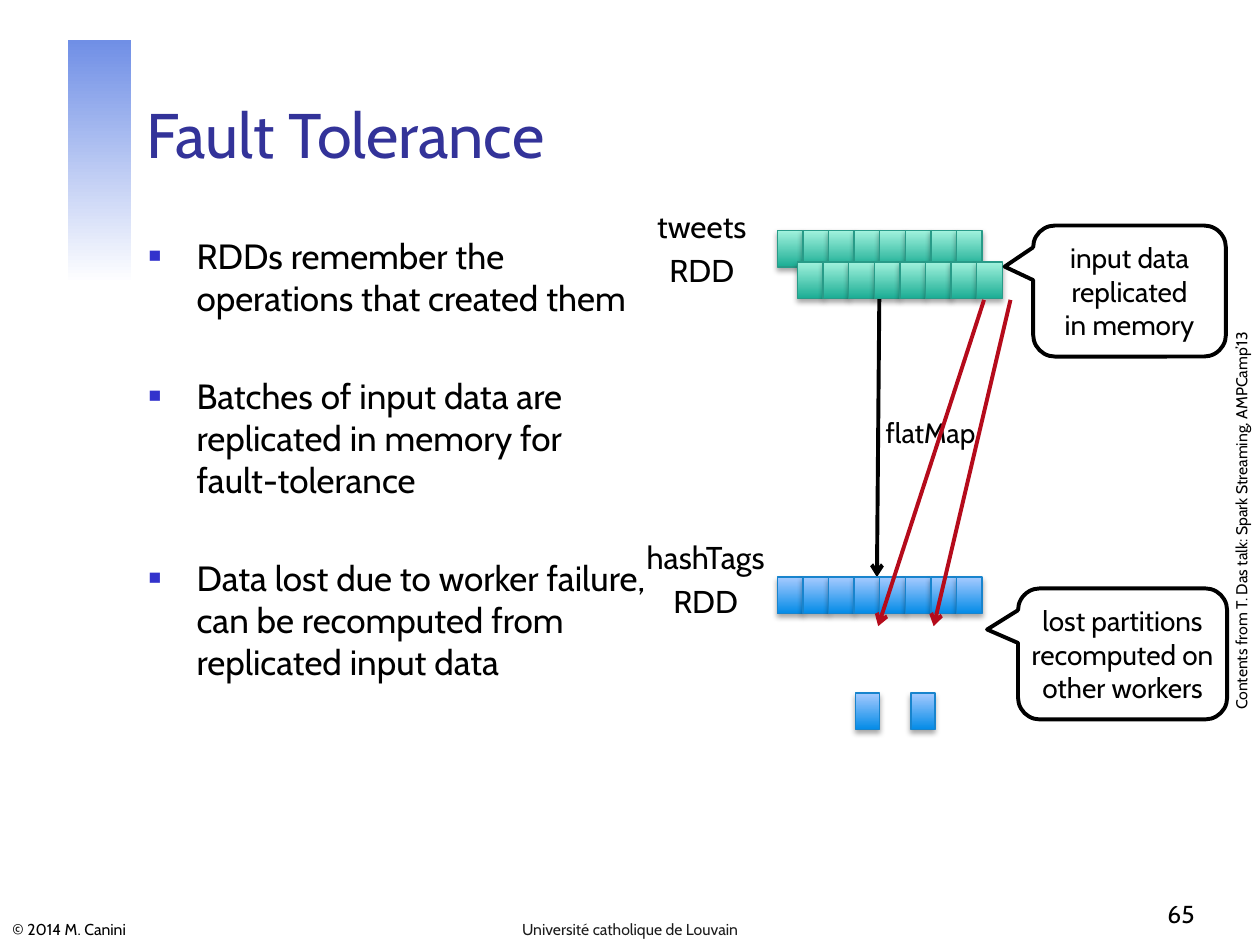
from dataclasses import dataclass

from lxml.etree import SubElement
from pptx import Presentation
from pptx.dml.color import RGBColor
from pptx.enum.shapes import MSO_CONNECTOR as Connector, MSO_SHAPE as Shape
from pptx.enum.text import MSO_ANCHOR as Anchor, MSO_AUTO_SIZE as AutoSize, PP_ALIGN as Align
from pptx.oxml.ns import qn
from pptx.util import Inches, Pt

FONT = "Cabin"
CELL_PITCH = 0.203
CELL_HEIGHT = 0.29


@dataclass(frozen=True)
class Palette:
    bottom: str
    top: str
    line: str


@dataclass(frozen=True)
class PartitionRow:
    left: float
    top: float
    palette: Palette
    count: int = 8
    pitch: float = CELL_PITCH
    width: float = CELL_PITCH


@dataclass(frozen=True)
class Arrow:
    start: tuple[float, float]
    end: tuple[float, float]
    color: str


@dataclass(frozen=True)
class Callout:
    area: tuple[float, float, float, float]
    text: str


@dataclass(frozen=True)
class Label:
    area: tuple[float, float, float, float]
    text: str
    size: float
    align: Align = Align.CENTER
    anchor: Anchor = Anchor.TOP
    color: str = "000000"
    insets: tuple[float, float] = (0.1, 0.05)
    gap: float = 0
    rotation: float = 0
    wrap: bool = True


GREEN = Palette("1BAD94", "A1F2DD", "289B88")
BLUE = Palette("038BE7", "A6CAFF", "1884CD")

ROWS = [
    PartitionRow(6.17, 1.83, GREEN),
    PartitionRow(6.79, 5.5, BLUE, count=2, pitch=0.44, width=0.19),
    PartitionRow(6.33, 2.08, GREEN),
    PartitionRow(6.17, 4.58, BLUE),
]
FLAT_MAP_ARROW = Arrow((6.98, 2.23), (6.96, 4.58), "000000")
RECOMPUTE_ARROWS = [
    Arrow((7.81, 2.38), (6.97, 4.97), "B50B1B"),
    Arrow((8.02, 2.38), (7.41, 4.97), "B50B1B"),
]
CALLOUTS = [
    Callout((8.2, 1.79, 1.53, 1.04), "input data replicated\nin memory"),
    Callout((8.08, 4.67, 1.66, 1.04), "lost partitions recomputed on other workers"),
]
LABELS = [
    Label((6.64, 3.3, 1.49, 0.27), "flatMap", 16, insets=(0.04, 0)),
    Label((5.01, 1.62, 1.12, 0.71), "tweets\nRDD", 18, insets=(0.04, 0.02), gap=3.6),
    Label((5.04, 4.25, 1.12, 0.71), "hashTags\nRDD", 18, insets=(0.04, 0.02), gap=3.6),
    Label((0, 7.22, 3.02, 0.28), "© 2014 M. Canini", 9, Align.LEFT, Anchor.BOTTOM),
    Label((3.42, 7.22, 3.16, 0.28), "Université catholique de Louvain", 9,
          anchor=Anchor.BOTTOM, color="1C1C1C"),
    Label((7.5, 6.92, 2.08, 0.5), "65", 14, Align.RIGHT, Anchor.BOTTOM),
    Label((8.14, 4.01, 3.42, 0.25), "Contents from T. Das talk: Spark Streaming, AMPCamp’13", 9,
          rotation=270, wrap=False),
]
BULLETS = [
    "RDDs remember the operations that created them",
    "Batches of input data are replicated in memory for fault-tolerance",
    "Data lost due to worker failure, can be recomputed from replicated input data",
]


def paint(color_format, value: str) -> None:
    color_format.rgb = RGBColor.from_string(value)


def write(frame, text: str, *, size: float, color: str = "000000", align=Align.LEFT,
          anchor=Anchor.TOP, insets=(0.1, 0.05), gap: float = 0, wrap: bool = True,
          bullet: str | None = None) -> None:
    frame.auto_size = AutoSize.NONE
    frame.word_wrap = wrap
    frame.vertical_anchor = anchor
    frame.margin_left = frame.margin_right = Inches(insets[0])
    frame.margin_top = frame.margin_bottom = Inches(insets[1])
    for index, line in enumerate(text.split("\n")):
        para = frame.add_paragraph() if index else frame.paragraphs[0]
        para.alignment = align
        para.space_before = Pt(gap if index else 0)
        if bullet:
            add_bullet(para, bullet)
        span = para.add_run()
        span.text = line
        span.font.name = FONT
        span.font.size = Pt(size)
        paint(span.font.color, color)


def add_bullet(para, color: str) -> None:
    props = para._p.get_or_add_pPr()
    props.set("marL", str(Inches(0.38)))
    props.set("indent", str(-Inches(0.38)))
    SubElement(SubElement(props, qn("a:buClr")), qn("a:srgbClr"), val=color)
    SubElement(props, qn("a:buSzPct"), val="60000")
    SubElement(props, qn("a:buChar"), char="■")


def place(shape, area: tuple[float, float, float, float]) -> None:
    shape.left, shape.top, shape.width, shape.height = map(Inches, area)


def fill_gradient(shape, start: str, end: str, angle: float) -> None:
    shape.fill.gradient()
    shape.fill.gradient_angle = angle
    for stop, color, position in zip(shape.fill.gradient_stops, (start, end), (0, 1)):
        paint(stop.color, color)
        stop.position = position


def add_accent_bar(page) -> None:
    bar = page.shapes.add_shape(Shape.RECTANGLE, *map(Inches, (0.54, 0.32, 0.5, 1.93)))
    bar.shadow.inherit = False
    fill_gradient(bar, "708FE6", "FFFFFF", 270)
    bar.line.fill.background()


def add_drop_shadow(shape) -> None:
    shape.shadow.inherit = False
    effects = shape._element.spPr.find(qn("a:effectLst"))
    shadow = SubElement(effects, qn("a:outerShdw"), blurRad=str(Pt(3.1)), dist=str(Pt(1.8)),
                        dir="5400000", rotWithShape="0")
    color = SubElement(shadow, qn("a:srgbClr"), val="000000")
    SubElement(color, qn("a:alpha"), val="35000")


def add_row(page, row: PartitionRow) -> None:
    for index in range(row.count):
        area = (row.left + index * row.pitch, row.top, row.width, CELL_HEIGHT)
        cell = page.shapes.add_shape(Shape.RECTANGLE, *map(Inches, area))
        fill_gradient(cell, row.palette.bottom, row.palette.top, 90)
        paint(cell.line.color, row.palette.line)
        cell.line.width = Pt(0.75)
        add_drop_shadow(cell)


def add_arrow(page, arrow: Arrow) -> None:
    points = map(Inches, (*arrow.start, *arrow.end))
    line = page.shapes.add_connector(Connector.STRAIGHT, *points)
    paint(line.line.color, arrow.color)
    line.line.width = Pt(2.25)
    SubElement(line.line._get_or_add_ln(), qn("a:tailEnd"), type="arrow")
    SubElement(line._element.spPr, qn("a:effectLst"))


def add_callout(page, callout: Callout) -> None:
    bubble = page.shapes.add_shape(Shape.ROUNDED_RECTANGULAR_CALLOUT, *map(Inches, callout.area))
    for index, value in enumerate((-0.648, -0.186, 0.167)):
        bubble.adjustments[index] = value
    bubble.shadow.inherit = False
    bubble.fill.solid()
    paint(bubble.fill.fore_color, "FFFFFF")
    paint(bubble.line.color, "000000")
    bubble.line.width = Pt(2.25)
    write(bubble.text_frame, callout.text, size=16, align=Align.CENTER,
          anchor=Anchor.MIDDLE, insets=(0, 0.02))


def add_label(page, label: Label) -> None:
    box = page.shapes.add_textbox(*map(Inches, label.area))
    box.rotation = label.rotation
    write(box.text_frame, label.text, size=label.size, color=label.color, align=label.align,
          anchor=label.anchor, insets=label.insets, gap=label.gap, wrap=label.wrap)


def main() -> None:
    deck = Presentation()
    deck.slide_width, deck.slide_height = Inches(10), Inches(7.5)
    page = deck.slides.add_slide(deck.slide_layouts[1])
    title, body = page.placeholders
    place(title, (1.06, 0.33, 8.52, 1.08))
    write(title.text_frame, "Fault Tolerance", size=36, color="333399", anchor=Anchor.BOTTOM)
    place(body, (1.08, 1.81, 4.18, 4.96))
    write(body.text_frame, "\n".join(BULLETS), size=20, gap=32, bullet="3333CC")
    add_accent_bar(page)
    add_label(page, LABELS[0])
    add_arrow(page, FLAT_MAP_ARROW)
    for row in ROWS:
        add_row(page, row)
    for arrow in RECOMPUTE_ARROWS:
        add_arrow(page, arrow)
    for callout in CALLOUTS:
        add_callout(page, callout)
    for label in LABELS[1:]:
        add_label(page, label)
    deck.save("out.pptx")


if __name__ == "__main__":
    main()
